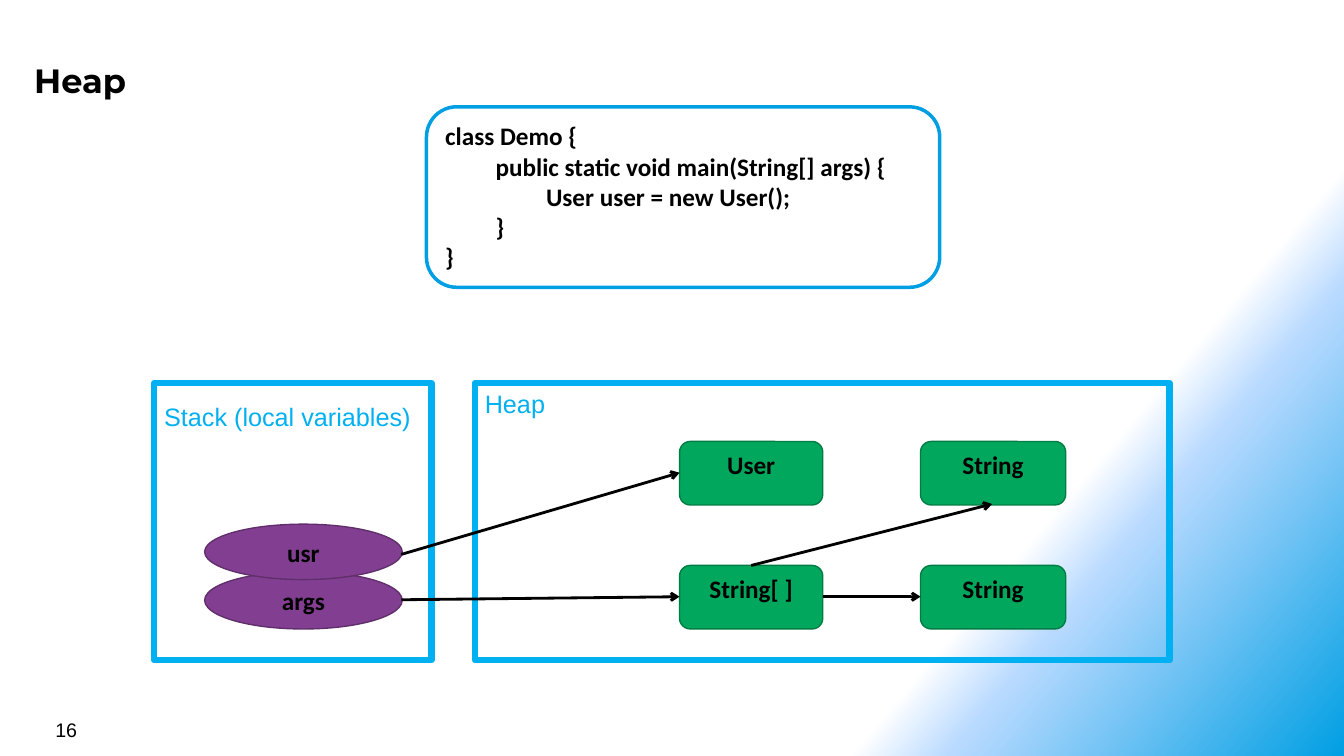
import pptx
import pptx.util
import pptx.dml.color
import pptx.enum.shapes
import pptx.enum.text
import pptx.oxml
import pptx.oxml.ns

Inches = pptx.util.Inches
Pt = pptx.util.Pt
ShapeKind = pptx.enum.shapes.MSO_SHAPE
Align = pptx.enum.text.PP_ALIGN
qn = pptx.oxml.ns.qn
NAMESPACE = pptx.oxml.ns.nsdecls("a")


def color(value):
    return pptx.dml.color.RGBColor.from_string(value)


class Deck:
    black = "000000"
    sky = "00B0F0"
    blue = "009FE3"

    def __init__(self, presentation):
        self.slide = presentation.slides.add_slide(presentation.slide_layouts[6])

    def background(self, stops, angle):
        fill = self.slide.background.fill
        fill.gradient()
        gradient = self.slide.element.find(".//" + qn("a:gradFill"))
        stop_list = gradient.find(qn("a:gsLst"))
        for stop in list(stop_list):
            stop_list.remove(stop)
        for position, value, opacity in stops:
            stop_list.append(pptx.oxml.parse_xml(
                f'<a:gs {NAMESPACE} pos="{position * 1000}"><a:srgbClr val="{value}">'
                f'<a:alpha val="{opacity * 1000}"/></a:srgbClr></a:gs>'))
        gradient.find(qn("a:lin")).set("ang", str(angle * 60000))

    def set_text(self, shape, text, size, font, value, bold=False, align=Align.LEFT):
        frame = shape.text_frame
        frame.word_wrap = True
        frame.vertical_anchor = pptx.enum.text.MSO_ANCHOR.TOP
        frame.text = text
        for paragraph in frame.paragraphs:
            paragraph.alignment = align
            for run in paragraph.runs:
                run.font.size = Pt(size)
                run.font.name = font
                run.font.bold = bold
                run.font.color.rgb = color(value)
        return frame

    def label(self, box, text, size, font, bold=False):
        shape = self.slide.shapes.add_textbox(*map(Inches, box))
        return self.set_text(shape, text, size, font, self.black, bold)

    def shape(self, kind, box, line, width, fill=None):
        shape = self.slide.shapes.add_shape(kind, *map(Inches, box))
        shape.shadow.inherit = False
        if fill:
            shape.fill.solid()
            shape.fill.fore_color.rgb = color(fill)
        else:
            shape.fill.background()
        shape.line.color.rgb = color(line)
        shape.line.width = Pt(width)
        return shape

    def code(self, box, lines):
        shape = self.shape(ShapeKind.ROUNDED_RECTANGLE, box, self.blue, 2.5)
        text = "\n".join(line for level, line in lines)
        frame = self.set_text(shape, text, 18, "Calibri", self.black, True)
        for paragraph, (level, line) in zip(frame.paragraphs, lines):
            properties = paragraph._p.get_or_add_pPr()
            properties.set("marL", str(Inches(0.5 * level)))
            properties.set("indent", "0")

    def area(self, left, width, text):
        shape = self.shape(ShapeKind.RECTANGLE, (left, 3.8, width, 2.75), self.sky, 4.5)
        return self.set_text(shape, text, 18, "Arial", self.sky)

    def node(self, kind, box, text, fill, line):
        shape = self.shape(kind, box, line, 1, fill)
        self.set_text(shape, text, 18, "Calibri", self.black, True, Align.CENTER)

    def variable(self, top, height, text):
        self.node(ShapeKind.OVAL, (2.03, top, 1.96, height), text, "823F91", "602F6B")

    def instance(self, left, top, width, text):
        self.node(ShapeKind.ROUNDED_RECTANGLE, (left, top, width, 0.63), text,
                  "00A75D", "007C45")

    def arrow(self, start, end):
        connector = self.slide.shapes.add_connector(
            pptx.enum.shapes.MSO_CONNECTOR.STRAIGHT, *map(Inches, start + end))
        connector.line.color.rgb = color(self.black)
        connector.line.width = Pt(2)
        connector.line._get_or_add_ln().append(
            pptx.oxml.parse_xml(f'<a:tailEnd {NAMESPACE} type="arrow"/>'))
        connector._element.spPr.append(
            pptx.oxml.parse_xml(f"<a:effectLst {NAMESPACE}/>"))


presentation = pptx.Presentation()
presentation.slide_width = Inches(13.33)
presentation.slide_height = Inches(7.5)
deck = Deck(presentation)
deck.background([(75, "FFFFFF", 100), (80, "B9DAFF", 50), (100, "009FE3", 100)], 40)

title = deck.label((0.26, 0.51, 12.26, 0.55), "Heap", 24, "Montserrat", True)
title.margin_left = title.margin_right = Inches(0.08)
title.margin_top = title.margin_bottom = Inches(0.08)
deck.label((0.45, 7.07, 3.11, 0.33), "16", 14, "Arial")

deck.code((4.23, 1.06, 5.09, 1.79), [
    (0, "class Demo {"),
    (1, "public static void main(String[] args) {"),
    (2, "User user = new User();"),
    (1, "}"),
    (0, "}"),
])

stack = deck.area(1.53, 2.75, "Stack (local variables)")
stack.margin_top = Inches(0.18)
deck.area(4.71, 6.89, "Heap")

deck.variable(5.67, 0.57, "args")
deck.variable(5.2, 0.55, "usr")

upper, lower = 4.38, 5.61
deck.instance(6.74, upper, 1.42, "User")
deck.instance(6.74, lower, 1.42, "String[ ]")
for top in (lower, upper):
    deck.instance(9.13, top, 1.44, "String")

for start, end in [
    ((7.45, lower), (9.84, 5)),
    ((8.16, 5.92), (9.13, 5.92)),
    ((3.98, 5.5), (6.74, 4.69)),
    ((3.98, 5.95), (6.74, 5.92)),
]:
    deck.arrow(start, end)

presentation.save("out.pptx")
